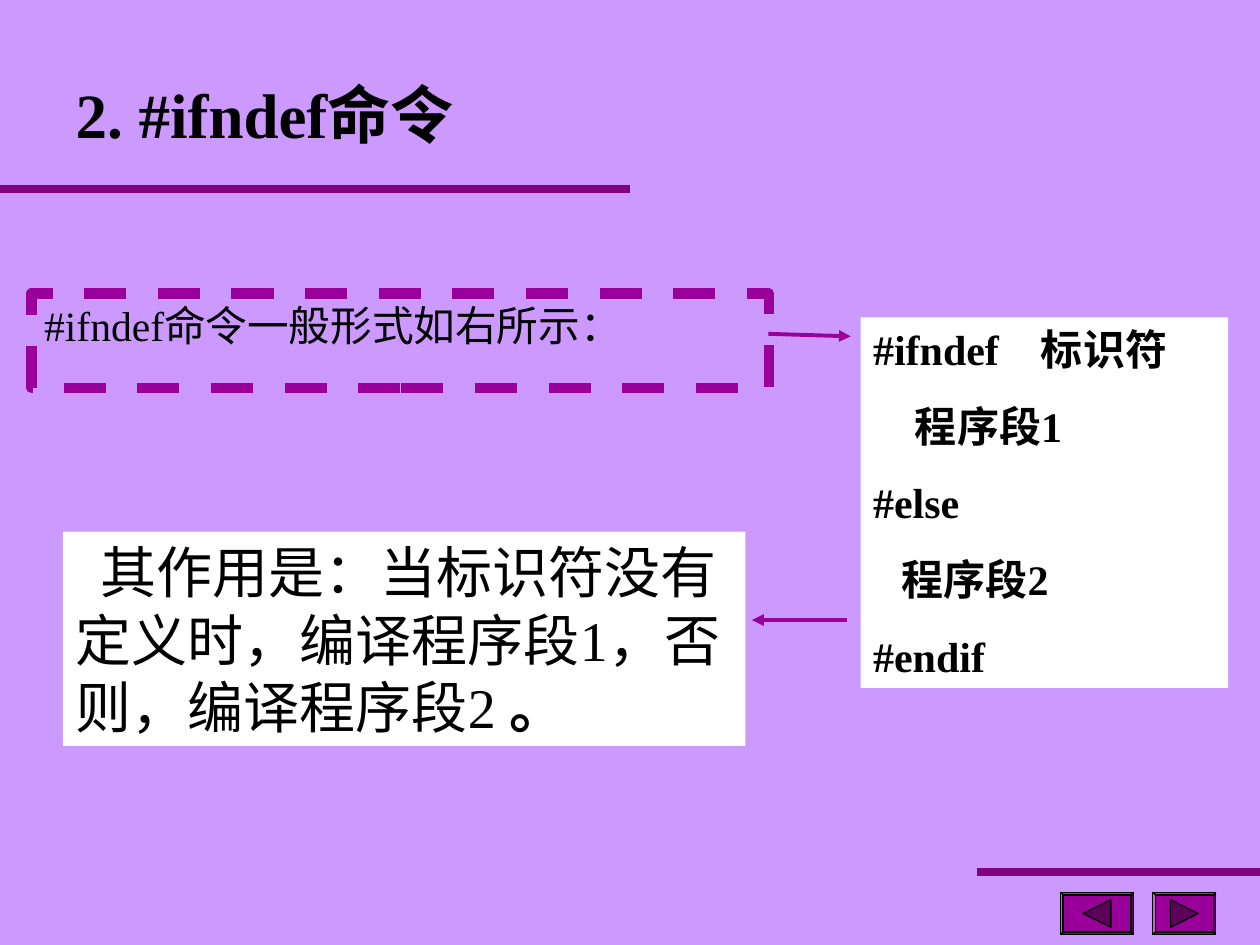
from typing import NamedTuple

from lxml.etree import SubElement
from pptx import Presentation
from pptx.dml.color import RGBColor
from pptx.enum.dml import MSO_LINE
from pptx.enum.shapes import MSO_CONNECTOR, MSO_SHAPE
from pptx.enum.text import MSO_ANCHOR as Anchor, MSO_AUTO_SIZE as AutoSize, PP_ALIGN as Align
from pptx.oxml.ns import qn
from pptx.util import Cm, Pt

LILAC = RGBColor(0xCC, 0x99, 0xFF)
PURPLE = RGBColor(0x80, 0x00, 0x80)
MAGENTA = RGBColor(0x99, 0x00, 0x99)
DARK_MAGENTA = RGBColor(0x5C, 0x00, 0x5C)
WHITE = RGBColor(0xFF, 0xFF, 0xFF)
BLACK = RGBColor(0x00, 0x00, 0x00)
LATIN = "Times New Roman"
CHINESE = "Noto Sans CJK SC"


class Box(NamedTuple):
    left: float
    top: float
    width: float
    height: float

    def lengths(self) -> tuple:
        return tuple(Cm(value) for value in self)


class TextRun(NamedTuple):
    text: str
    size: float
    bold: bool = False
    font: str = LATIN


class Line(NamedTuple):
    start: tuple
    end: tuple
    color: RGBColor
    width: float
    arrow: bool = False


class NavigationButton(NamedTuple):
    left: float
    width: float
    direction: int  # -1 points left, 1 points right


TITLE_BOX = Box(1.27, 1.4, 9.53, 1.78)
FORM_BOX = Box(0.64, 5.92, 14.86, 1.9)
CODE_BOX = Box(17.35, 6.4, 7.41, 7.47)
EFFECT_BOX = Box(1.27, 10.72, 13.76, 4.32)
CODE_LINES = ["#ifndef　标识符", "　程序段1", "#else", "   程序段2", "#endif"]
EFFECT_RUNS = [
    TextRun("其作用是：当标识符没有定义时，编译程序段", 32, font=CHINESE),
    TextRun("1", 32),
    TextRun("，否则，编译程序段", 32, font=CHINESE),
    TextRun("2 ", 32),
    TextRun("。", 32, bold=True),
]
LINES = [
    Line((0, 3.81), (12.7, 3.81), PURPLE, 4.5),
    Line((19.69, 17.58), (25.4, 17.58), PURPLE, 4.5),
    Line((15.49, 6.73), (17.15, 6.78), MAGENTA, 2.25, arrow=True),
    Line((17.07, 12.5), (15.16, 12.5), MAGENTA, 2.25, arrow=True),
]
BUTTONS = [NavigationButton(21.38, 1.47, -1), NavigationButton(23.24, 1.27, 1)]
BUTTON_TOP, BUTTON_HEIGHT, TRIANGLE_SIZE = 17.99, 0.85, 0.56


def add_run(paragraph, text_run: TextRun) -> None:
    run = paragraph.add_run()
    run.text = text_run.text
    font = run.font
    font.name = text_run.font
    font.size = Pt(text_run.size)
    font.bold = text_run.bold
    font.color.rgb = BLACK
    east_asian = SubElement(run._r.get_or_add_rPr(), qn("a:ea"))
    east_asian.set("typeface", CHINESE)


def fill_text(shape, paragraphs: list, align=Align.LEFT, space_before: float = 0) -> None:
    frame = shape.text_frame
    frame.word_wrap = True
    frame.auto_size = AutoSize.NONE
    frame.vertical_anchor = Anchor.TOP
    for index, runs in enumerate(paragraphs):
        paragraph = frame.add_paragraph() if index else frame.paragraphs[0]
        paragraph.alignment = align
        paragraph.line_spacing = 1.0
        paragraph.space_before = Pt(space_before if index else 0)
        for text_run in runs:
            add_run(paragraph, text_run)


def add_panel(slide, box: Box):
    panel = slide.shapes.add_shape(MSO_SHAPE.RECTANGLE, *box.lengths())
    panel.shadow.inherit = False
    panel.fill.solid()
    panel.fill.fore_color.rgb = WHITE
    panel.line.fill.background()
    return panel


def add_line(slide, line: Line) -> None:
    ends = (Cm(value) for value in line.start + line.end)
    connector = slide.shapes.add_connector(MSO_CONNECTOR.STRAIGHT, *ends)
    connector.line.color.rgb = line.color
    connector.line.width = Pt(line.width)
    if line.arrow:
        SubElement(connector.line._get_or_add_ln(), qn("a:tailEnd")).set("type", "triangle")
    SubElement(connector._element.spPr, qn("a:effectLst"))


def style_button_part(shape, color: RGBColor) -> None:
    shape.shadow.inherit = False
    shape.fill.solid()
    shape.fill.fore_color.rgb = color
    shape.line.color.rgb = BLACK
    shape.line.width = Pt(0.75)


def add_button(slide, button: NavigationButton) -> None:
    box = Box(button.left, BUTTON_TOP, button.width, BUTTON_HEIGHT)
    bevel = slide.shapes.add_shape(MSO_SHAPE.BEVEL, *box.lengths())
    bevel.adjustments[0] = 0.06
    style_button_part(bevel, MAGENTA)

    center_x = button.left + button.width / 2
    center_y = BUTTON_TOP + BUTTON_HEIGHT / 2
    half = TRIANGLE_SIZE / 2
    tip_x = center_x + button.direction * half
    base_x = center_x - button.direction * half
    builder = slide.shapes.build_freeform(Cm(tip_x), Cm(center_y))
    builder.add_line_segments(
        [(Cm(base_x), Cm(center_y - half)), (Cm(base_x), Cm(center_y + half))])
    style_button_part(builder.convert_to_shape(), DARK_MAGENTA)


def main() -> None:
    presentation = Presentation()
    presentation.slide_width, presentation.slide_height = Cm(25.4), Cm(19.05)
    slide = presentation.slides.add_slide(presentation.slide_layouts[5])
    slide.background.fill.solid()
    slide.background.fill.fore_color.rgb = LILAC

    title = slide.shapes.title
    title.left, title.top, title.width, title.height = TITLE_BOX.lengths()
    fill_text(title, [[TextRun("2. #ifndef命令", 36, bold=True)]])

    form = slide.shapes.add_textbox(*FORM_BOX.lengths())
    form.line.color.rgb = MAGENTA
    form.line.width = Pt(6)
    form.line.dash_style = MSO_LINE.DASH
    fill_text(form, [[TextRun("#ifndef命令一般形式如右所示：", 23.8)]], Align.JUSTIFY)

    code = add_panel(slide, CODE_BOX)
    fill_text(code, [[TextRun(text, 24, bold=True)] for text in CODE_LINES], space_before=15)

    effect = add_panel(slide, EFFECT_BOX)
    fill_text(effect, [EFFECT_RUNS])
    first_paragraph = effect.text_frame.paragraphs[0]
    first_paragraph._p.get_or_add_pPr().set("indent", str(Cm(0.5)))

    for line in LINES:
        add_line(slide, line)
    for button in BUTTONS:
        add_button(slide, button)
    presentation.save("out.pptx")


if __name__ == "__main__":
    main()
